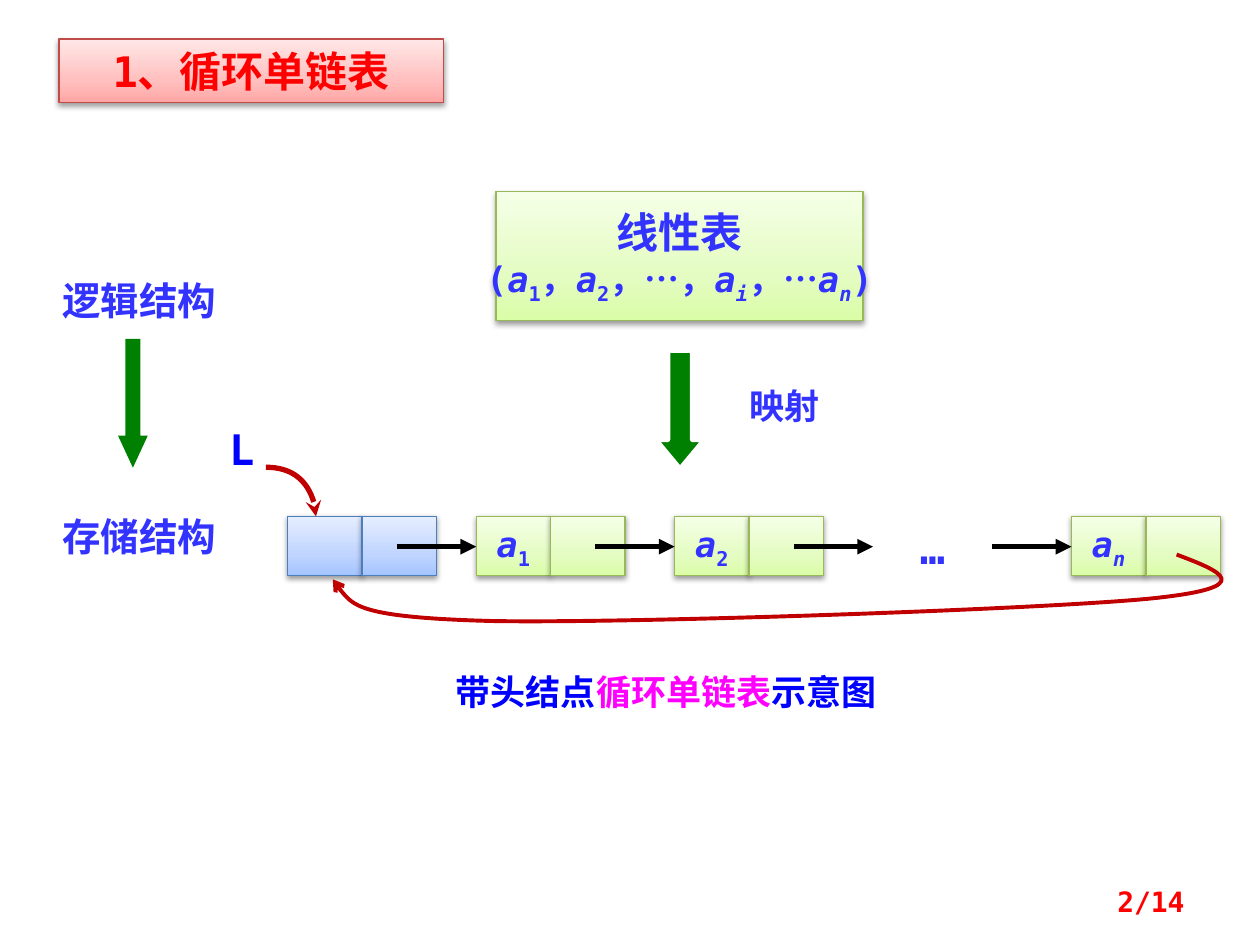
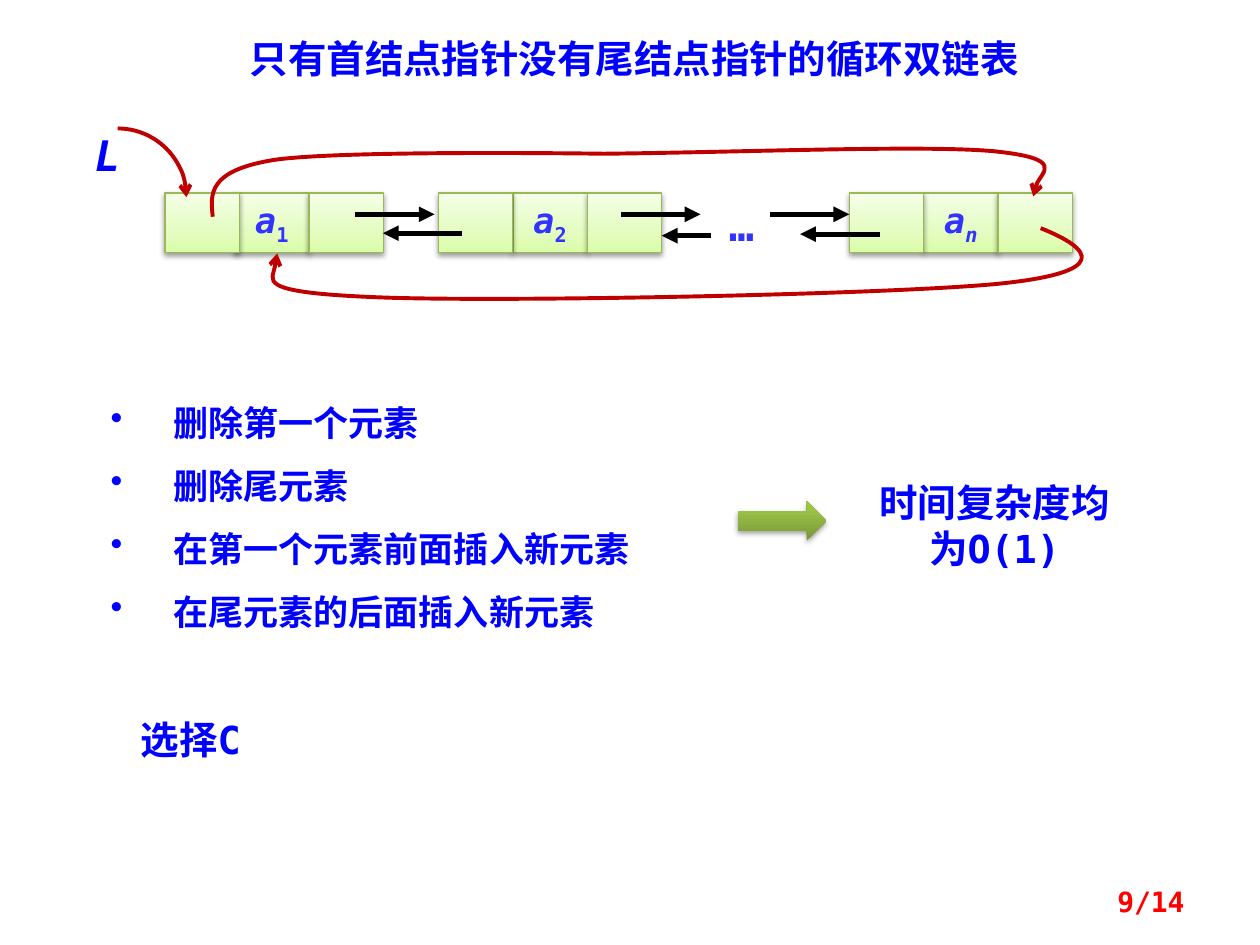
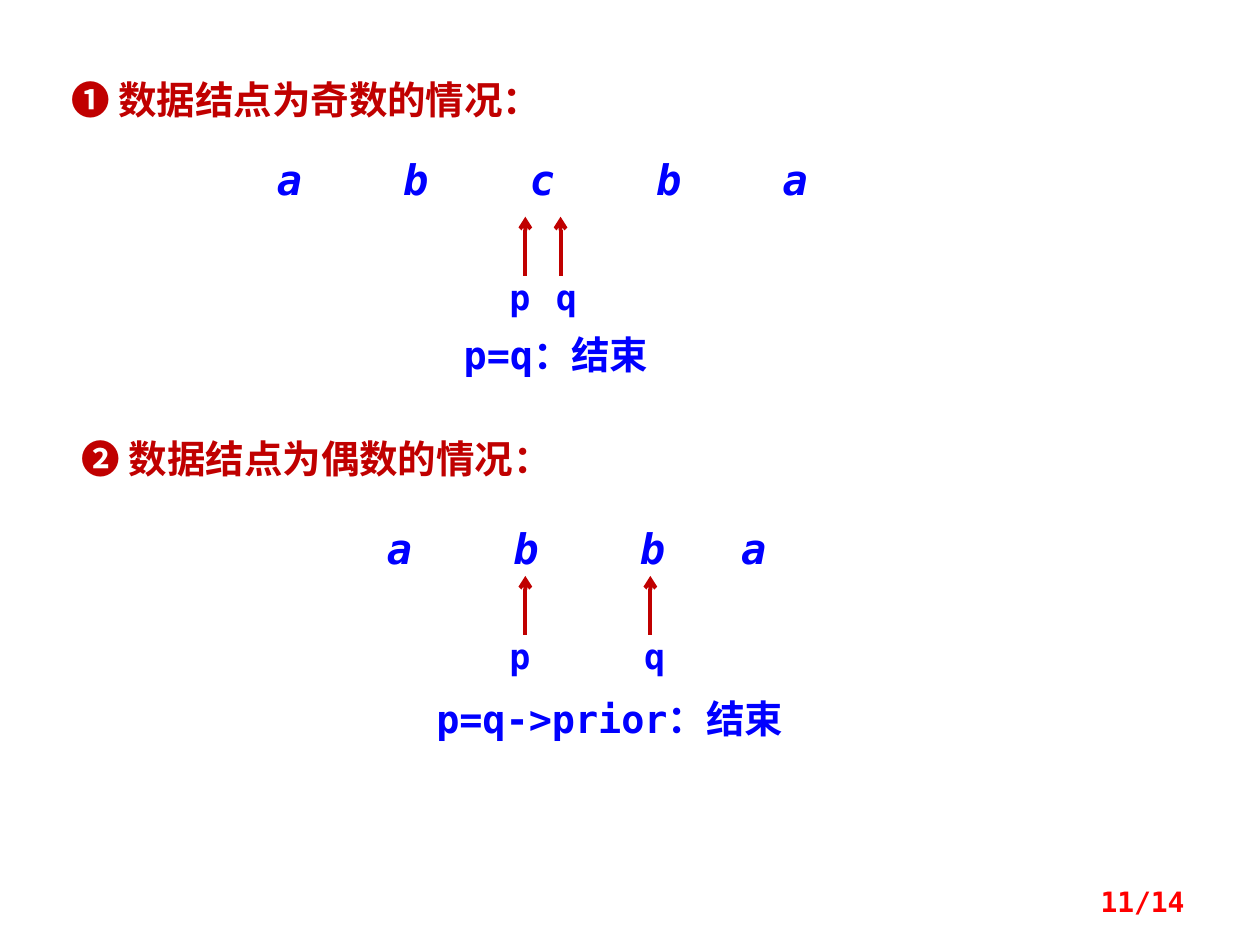
import pptx
import pptx.util
import pptx.dml.color
import pptx.enum.lang
import pptx.enum.shapes
import pptx.enum.text
import pptx.oxml.ns
from lxml import etree

Cm = pptx.util.Cm
qn = pptx.oxml.ns.qn
rgb = pptx.dml.color.RGBColor.from_string
SHAPE = pptx.enum.shapes.MSO_SHAPE
ALIGN = pptx.enum.text.PP_ALIGN
ANCHOR = pptx.enum.text.MSO_ANCHOR

INDIGO, BLUE, RED, DARK_RED = "3333FF", "0000FF", "FF0000", "C00000"
GREEN, BLACK, WHITE, MAGENTA = "008000", "000000", "FFFFFF", "FF00FF"
LIME_BOX = dict(fill=[(0, "DAFDA7"), (35, "E4FCC2"), (100, "F5FFE7")], line=("98B955", 0.75))
BLUE_BOX = dict(fill=[(0, "A4C4FF"), (35, "BFD4FF"), (100, "E6EEFF")], line=("4B7EBC", 0.75))
RED_BOX = dict(fill=[(0, "FFA6A5"), (35, "FFC0BF"), (100, "FFE7E7")], line=("BF4C48", 0.75))
OLIVE_BOX = dict(fill=[(0, "779737"), (80, "9BC348"), (100, "9DC746")])
NODE_TEXT = dict(size=20, color=INDIGO, wrap=False)
CELL_W, CELL_H, ARROW = 1.5, 1.2, 1.6


def stroke(sp, color, width, tail=None):
    sp.line.color.rgb = rgb(color)
    sp.line.width = pptx.util.Pt(width)
    if tail:
        etree.SubElement(sp.line._get_or_add_ln(), qn("a:tailEnd"), type=tail)


def put(s, box, paras=(), kind=None, fill=None, line=None, size=22, color=BLUE,
        align=ALIGN.CENTER, anchor=ANCHOR.TOP, wrap=True, inset=None, bullet=False, tabs=()):
    box = [Cm(v) for v in box]
    if kind is None:
        sp = s.shapes.add_textbox(*box)
    else:
        sp = s.shapes.add_shape(kind, *box)
        sp.shadow.inherit = False
        if isinstance(fill, list):
            sp.fill.gradient()
            sp.fill.gradient_angle = 90
            stops = sp._element.spPr.find(".//" + qn("a:gsLst"))
            stops[:] = []
            for pos, stop in fill:
                gs = etree.SubElement(stops, qn("a:gs"), pos=str(pos * 1000))
                etree.SubElement(gs, qn("a:srgbClr"), val=stop)
            shadow = etree.SubElement(sp._element.spPr.find(qn("a:effectLst")), qn("a:outerShdw"),
                                      blurRad="40000", dist="20000", dir="5400000", rotWithShape="0")
            clr = etree.SubElement(shadow, qn("a:srgbClr"), val=BLACK)
            etree.SubElement(clr, qn("a:alpha"), val="38000")
        elif fill:
            sp.fill.solid()
            sp.fill.fore_color.rgb = rgb(fill)
        else:
            sp.fill.background()
        if line:
            stroke(sp, *line)
        else:
            sp.line.fill.background()
    tf = sp.text_frame
    tf.word_wrap = wrap
    tf.vertical_anchor = anchor
    for side, v in (inset or {}).items():
        setattr(tf, "margin_" + side, Cm(v))
    for i, runs in enumerate(paras):
        p = tf.add_paragraph() if i else tf.paragraphs[0]
        p.alignment = align
        pPr = p._p.get_or_add_pPr()
        if bullet:
            pPr.set("marL", str(Cm(1.27)))
            pPr.set("indent", str(Cm(-1.27)))
            etree.SubElement(pPr, qn("a:buChar"), char="•")
            p.line_spacing = 1.5
        if tabs:
            stops = etree.SubElement(pPr, qn("a:tabLst"))
            for pos in tabs:
                etree.SubElement(stops, qn("a:tab"), pos=str(Cm(pos)), algn="l")
        for text, *look in [(runs,)] if isinstance(runs, str) else runs:
            r = p.add_run()
            r.text = text
            flags, tint, pt = (look + ["", None, None][len(look):])
            values = dict(name="DejaVu Sans Mono", size=pptx.util.Pt(pt or size), bold=True,
                          italic="i" in flags,
                          language_id=pptx.enum.lang.MSO_LANGUAGE_ID.SIMPLIFIED_CHINESE)
            for k, v in values.items():
                setattr(r.font, k, v)
            r.font.color.rgb = rgb(tint or color)
            if "_" in flags:
                r._r.get_or_add_rPr().set("baseline", "-25000")
    return sp


prs = pptx.Presentation()
prs.slide_width, prs.slide_height = Cm(25.4), Cm(19.05)
single, double, cases = [prs.slides.add_slide(prs.slide_layouts[6]) for _ in range(3)]
a1 = [[("a", "i"), ("1", "_")]]
a2 = [[("a", "i"), ("2", "_")]]
an = [[("a", "i"), ("n", "i_")]]
lines = []

formula = [("(",), ("a", "i"), ("1", "_"), ("，",), ("a", "i"), ("2", "_"), ("，…，",),
           ("a", "i"), ("i", "i_"), ("，…",), ("a", "i"), ("n", "i_"), (")",)]
put(single, (10, 3.86, 7.4, 2.6), [[("线性表", "", None, 24)], formula], SHAPE.RECTANGLE,
    anchor=ANCHOR.MIDDLE, **NODE_TEXT, **LIME_BOX)
for box, head, line in (((13.21, 7.06, 1, 2.4), 0.6, (WHITE, 3)),
                        ((2.38, 6.83, 0.6, 2.6), 1.08, None)):
    sp = put(single, box, kind=SHAPE.DOWN_ARROW, fill=GREEN, line=line)
    sp.adjustments[1] = head
put(single, (14.48, 7.62, 2.67, 1.1), ["映射"], size=20, color=INDIGO)
for y, label in ((5.46, "逻辑结构"), (10.21, "存储结构")):
    put(single, (0.41, y, 4.8, 1.2), [label], color=INDIGO)
for x, label, look in ((5.8, (), BLUE_BOX), (9.6, a1, LIME_BOX),
                       (13.6, a2, LIME_BOX), (21.6, an, LIME_BOX)):
    for i, paras in enumerate((label, ())):
        put(single, (x + i * CELL_W, 10.41, CELL_W, CELL_H), paras, SHAPE.RECTANGLE,
            anchor=ANCHOR.MIDDLE, **NODE_TEXT, **look)
put(single, (18, 10.41, 1.6, 1.28), ["…"], size=24, color=INDIGO)
put(single, (4.37, 8.41, 1.2, 1.28), ["L"], size=24, align=ALIGN.LEFT)
put(single, (8.94, 13.39, 9.93, 1.1),
    [[("带头结点",), ("循环单链表", "", MAGENTA), ("示意图",)]], size=20, align=ALIGN.LEFT)
put(single, (1.19, 0.79, 7.75, 1.28), ["1、循环单链表"], SHAPE.RECTANGLE, size=24, color=RED, **RED_BOX)
for i in range(4):
    x = 8 + 4 * i
    lines.append((single, x, 11.02, x + ARROW, 11.02, BLACK, 3, "triangle"))

for x, label, back in ((4.73, a1, 1.4), (10.34, a2, CELL_W), (18.62, an, CELL_W)):
    for left, paras in ((x, label), (x + CELL_W, ()), (x - back, ())):
        put(double, (left, 3.89, CELL_W, CELL_H), paras, SHAPE.RECTANGLE,
            anchor=ANCHOR.MIDDLE, **NODE_TEXT, **LIME_BOX)
put(double, (14.15, 3.89, 1.6, 1.28), ["…"], size=24, color=INDIGO)
for x1, x2, y in ((7.16, 8.76, 4.32), (12.52, 14.12, 4.32), (15.52, 17.12, 4.32),
                  (9.32, 7.72, 4.7), (14.33, 13.34, 4.75), (17.73, 16.13, 4.72)):
    lines.append((double, x1, y, x2, y, BLACK, 3, "triangle"))
put(double, (0.99, 2.59, 2.77, 2.77), kind=SHAPE.ARC, line=(DARK_RED, 2.25, "arrow"))
put(double, (1.57, 2.49, 1.2, 1.28), [[("L", "i")]], size=24)
put(double, (3.96, 0.58, 17.65, 1.2), ["只有首结点指针没有尾结点指针的循环双链表"])
put(double, (1.98, 7.54, 12.12, 5.23),
    ["删除第一个元素", "删除尾元素", "在第一个元素前面插入新元素", "在尾元素的后面插入新元素"],
    size=20, align=ALIGN.LEFT, bullet=True)
put(double, (14.88, 10.11, 1.78, 0.79), kind=SHAPE.RIGHT_ARROW, **OLIVE_BOX)
put(double, (17.27, 9.53, 5.56, 2.13), ["时间复杂度均为O(1)"])
put(double, (2.59, 14.3, 4.37, 1.2), ["选择C"], align=ALIGN.LEFT)

flush = dict(left=0, top=0, right=0, bottom=0)
for heading, head_box, letters, letter_box, inset, tabs, y, q_arrow, q_label, verdict, verdict_box in (
        ("❶ 数据结点为奇数的情况：", (1.19, 1.4, 11.13, 1.2),
         "a\tb\tc\tb\ta", (4.57, 2.97, 12.7, 1.28), 1.01, (2.55, 5.1, 7.65, 10.2),
         5.56, 11.3, 10.92, "p=q：结束", (8.53, 6.55, 5.36, 1.2)),
        ("❷ 数据结点为偶数的情况：", (1.4, 8.64, 10.72, 1.2),
         "a\tb\tb\ta", (6.76, 10.41, 9.73, 1.28), 1.04, (2.55, 5.1, 7.14),
         12.8, 13.11, 12.7, "p=q->prior：结束", (7.92, 13.89, 8.74, 1.2))):
    put(cases, head_box, [heading], color=DARK_RED, align=ALIGN.LEFT)
    put(cases, letter_box, [[(letters, "i")]], size=24, align=ALIGN.LEFT,
        inset=dict(left=inset), tabs=tabs)
    for name, x, left in (("p", 10.59, 9.98), ("q", q_arrow, q_label)):
        lines.append((cases, x, y, x, y - 1.19, DARK_RED, 2.25, "arrow"))
        put(cases, (left, y, 1, 0.86), [name], size=20, inset=flush)
    put(cases, verdict_box, [verdict])

for s, x1, y1, x2, y2, color, width, tail in lines:
    sp = s.shapes.add_connector(pptx.enum.shapes.MSO_CONNECTOR.STRAIGHT, Cm(x1), Cm(y1), Cm(x2), Cm(y2))
    stroke(sp, color, width, tail)
    etree.SubElement(sp._element.spPr, qn("a:effectLst"))

for s, width, tail, points in (
        (single, 3, "stealth", [(5.36, 9.42), (5.92, 9.42), (6.37, 9.86), (6.37, 10.41)]),
        (single, 2.25, "arrow", [
            (23.72, 11.18), (24.59, 11.51), (25.45, 11.84), (23.16, 12.07), (20.85, 12.29),
            (12.67, 12.57), (9.93, 12.52), (7.19, 12.45), (6.96, 12.07), (6.71, 11.68)]),
        (double, 2.25, "arrow", [
            (4.29, 4.37), (4.24, 3.91), (4.19, 3.45), (5.49, 3.23), (6.81, 3.02),
            (12.17, 3.1), (12.17, 3.1), (15.04, 3.07), (18.59, 2.92), (20.04, 3.05),
            (21.49, 3.2), (20.8, 3.66), (20.83, 3.96)]),
        (double, 2.25, "arrow", [
            (20.98, 4.6), (22.05, 5.03), (22.38, 5.49), (20.14, 5.72), (17.91, 5.94),
            (9.93, 6.1), (7.52, 5.99), (5.11, 5.89), (5.56, 5.51), (5.59, 5.11)])):
    start, *rest = [(Cm(x), Cm(y)) for x, y in points]
    fb = s.shapes.build_freeform(*start)
    fb.add_line_segments(rest, close=False)
    sp = fb.convert_to_shape()
    sp.shadow.inherit = False
    sp.fill.background()
    stroke(sp, DARK_RED, width, tail)
    outline = sp._element.spPr.find(".//" + qn("a:path"))
    steps = outline.findall(qn("a:lnTo"))
    for i in range(0, len(steps), 3):
        curve = etree.SubElement(outline, qn("a:cubicBezTo"))
        for step in steps[i:i + 3]:
            curve.append(step[0])
            outline.remove(step)

for s, page in ((single, 2), (double, 9), (cases, 11)):
    put(s, (18.21, 17.65, 5.92, 1.02), [f"{page}/14"], size=16, color=RED,
        align=ALIGN.RIGHT, anchor=ANCHOR.MIDDLE)

prs.save("out.pptx")
